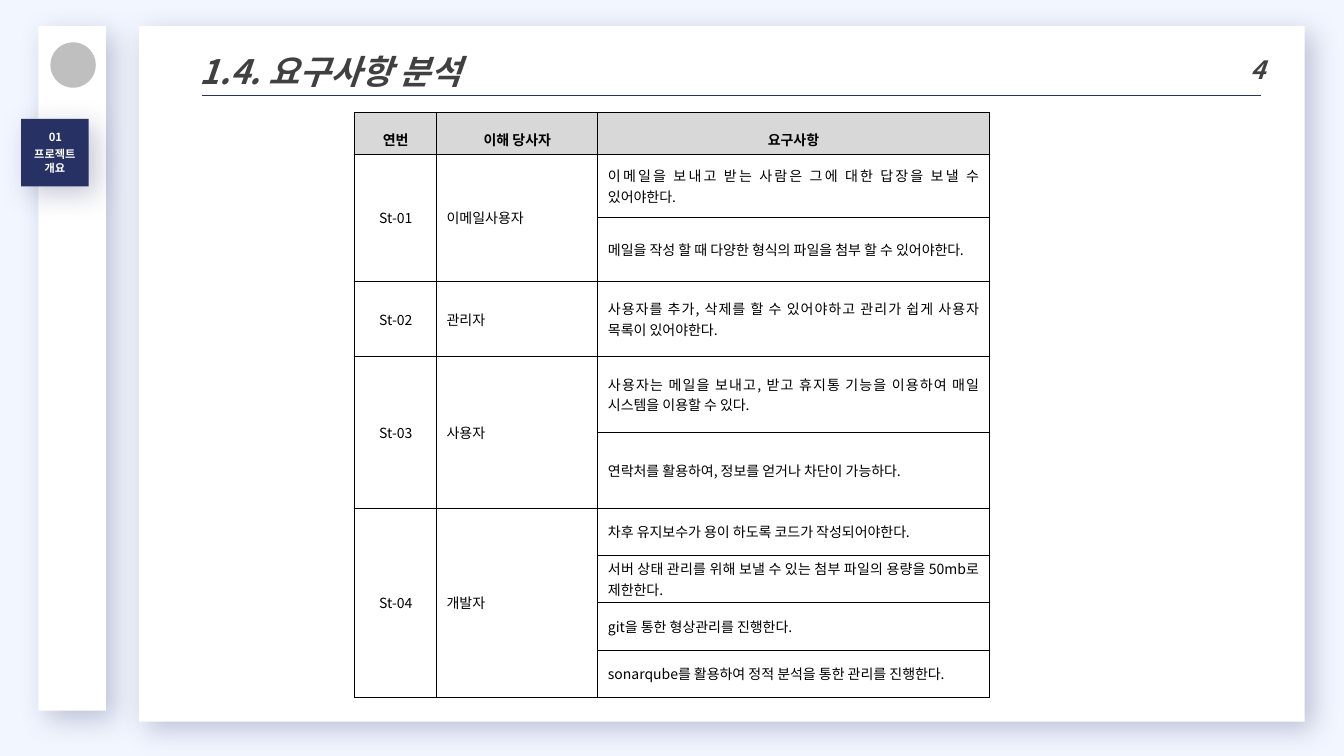
from dataclasses import dataclass

from lxml.etree import SubElement
from pptx import Presentation
from pptx.dml.color import RGBColor
from pptx.enum.shapes import MSO_CONNECTOR, MSO_SHAPE
from pptx.enum.text import MSO_ANCHOR, PP_ALIGN
from pptx.oxml import parse_xml
from pptx.oxml.ns import nsdecls, qn
from pptx.util import Inches, Pt


@dataclass(frozen=True)
class Theme:
    font: str = "Noto Sans CJK KR"
    back: str = "F2F6FF"
    navy: str = "273164"
    white: str = "FFFFFF"
    dark: str = "404040"
    black: str = "000000"
    gray: str = "BFBFBF"
    head: str = "D8D8D8"
    title: int = 24
    page: int = 18
    body: int = 10
    tag: int = 8


THEME = Theme()
HEADS = ["연번", "이해 당사자", "요구사항"]
# Each group: id, stakeholder, row height, requirements
GROUPS = [
    ("St-01", "이메일사용자", 0.63, [
        "이메일을 보내고 받는 사람은 그에 대한 답장을 보낼 수 있어야한다.",
        "메일을 작성 할 때 다양한 형식의 파일을 첨부 할 수 있어야한다."]),
    ("St-02", "관리자", 0.75, [
        "사용자를 추가, 삭제를 할 수 있어야하고 관리가 쉽게 사용자 목록이 있어야한다."]),
    ("St-03", "사용자", 0.75, [
        "사용자는 메일을 보내고, 받고 휴지통 기능을 이용하여 매일 시스템을 이용할 수 있다.",
        "연락처를 활용하여, 정보를 얻거나 차단이 가능하다."]),
    ("St-04", "개발자", 0.47, [
        "차후 유지보수가 용이 하도록 코드가 작성되어야한다.",
        "서버 상태 관리를 위해 보낼 수 있는 첨부 파일의 용량을 50mb로 제한한다.",
        "git을 통한 형상관리를 진행한다.",
        "sonarqube를 활용하여 정적 분석을 통한 관리를 진행한다."]),
]


def color(code):
    return RGBColor.from_string(code)


def write(frame, text, size, ink, bold=False, italic=False,
          align=PP_ALIGN.LEFT, space=None, indent=None):
    frame.word_wrap = True
    para = frame.paragraphs[0]
    para.alignment = align
    if space:
        para.line_spacing = space
    if indent:
        props = para._p.get_or_add_pPr()
        props.set("marL", str(Inches(indent)))
        props.set("indent", "0")
    run = para.add_run()
    run.text = text
    font = run.font
    font.size, font.bold, font.italic = Pt(size), bold, italic
    font.color.rgb = color(ink)
    font.name = THEME.font
    SubElement(font._element, qn("a:ea")).set("typeface", THEME.font)


def add_shade(shape):
    """Give the shape a soft navy shadow to the lower right."""
    shape._element.spPr.append(parse_xml(
        f'<a:effectLst {nsdecls("a")}><a:outerShdw blurRad="{Pt(20)}" '
        f'dist="{Pt(8)}" dir="2700000" algn="tl" rotWithShape="0">'
        f'<a:srgbClr val="{THEME.navy}"><a:alpha val="26000"/></a:srgbClr>'
        '</a:outerShdw></a:effectLst>'))


def add_block(slide, box, fill, kind=MSO_SHAPE.RECTANGLE, shade=True):
    shape = slide.shapes.add_shape(kind, *map(Inches, box))
    shape.fill.solid()
    shape.fill.fore_color.rgb = color(fill)
    shape.line.fill.background()
    if shade:
        add_shade(shape)
    else:
        shape.shadow.inherit = False
    return shape


def add_label(slide, box, text, size, ink, **form):
    label = slide.shapes.add_textbox(*map(Inches, box))
    write(label.text_frame, text, size, ink, **form)


def add_rule(slide, left, right, top):
    rule = slide.shapes.add_connector(
        MSO_CONNECTOR.STRAIGHT, Inches(left), Inches(top), Inches(right), Inches(top))
    rule.line.color.rgb = color(THEME.navy)
    rule.line.width = Pt(0.5)
    SubElement(rule._element.spPr, qn("a:effectLst"))


def add_edges(cell):
    props = cell._tc.get_or_add_tcPr()
    for place, side in enumerate("LRTB"):
        props.insert(place, parse_xml(
            f'<a:ln{side} {nsdecls("a")} w="{Pt(0.67)}"><a:solidFill>'
            f'<a:srgbClr val="{THEME.black}"/></a:solidFill></a:ln{side}>'))


def fill_cell(cell, text, align, head=False):
    cell.vertical_anchor = MSO_ANCHOR.BOTTOM if head else MSO_ANCHOR.MIDDLE
    cell.margin_top = cell.margin_bottom = Inches(0.05 if head else 0.02)
    write(cell.text_frame, text, THEME.body, THEME.black, bold=head, align=align)


def add_needs(slide):
    """Add the table of requirements, merging the cells of each group."""
    widths = [0.81, 1.6, 3.88]
    heights = [0.41] + [tall for _, _, tall, needs in GROUPS for _ in needs]
    table = slide.shapes.add_table(
        len(heights), len(widths), Inches(3.52), Inches(1.12),
        Inches(sum(widths)), Inches(sum(heights))).table
    table.first_row = table.horz_banding = False
    for col, width in zip(table.columns, widths):
        col.width = Inches(width)
    for row, height in zip(table.rows, heights):
        row.height = Inches(height)
    for cell in table.iter_cells():
        cell.fill.background()
        add_edges(cell)
    for col, text in enumerate(HEADS):
        cell = table.cell(0, col)
        cell.fill.solid()
        cell.fill.fore_color.rgb = color(THEME.head)
        fill_cell(cell, text, PP_ALIGN.CENTER, head=True)
    top = 1
    for code, who, _, needs in GROUPS:
        for col, text, align in ((0, code, PP_ALIGN.CENTER), (1, who, PP_ALIGN.LEFT)):
            cell = table.cell(top, col)
            if len(needs) > 1:
                cell.merge(table.cell(top + len(needs) - 1, col))
            fill_cell(cell, text, align)
        for row, need in enumerate(needs, top):
            fill_cell(table.cell(row, 2), need, PP_ALIGN.JUSTIFY)
        top += len(needs)


def add_title(slide):
    panel = add_block(slide, (1.38, 0.26, 11.56, 6.9), THEME.white)
    panel.text_frame.vertical_anchor = MSO_ANCHOR.TOP
    write(panel.text_frame, "1.4. 요구사항 분석", THEME.title, THEME.dark,
          bold=True, italic=True, space=1.5, indent=0.5)
    add_rule(slide, 2, 12.51, 0.95)


def add_side(slide):
    add_block(slide, (0.38, 0.26, 0.67, 6.79), THEME.white)
    tag = add_block(slide, (0.21, 1.18, 0.67, 0.67), THEME.navy).text_frame
    tag.vertical_anchor = MSO_ANCHOR.BOTTOM
    tag.margin_bottom = Inches(0.12)
    form = dict(size=THEME.tag, ink=THEME.white, bold=True, align=PP_ALIGN.CENTER)
    write(tag, "프로젝트개요", **form)
    add_label(slide, (0.35, 1.24, 0.4, 0.24), "01", **form)
    add_block(slide, (0.5, 0.42, 0.45, 0.45), THEME.gray, MSO_SHAPE.OVAL, shade=False)


def main():
    deck = Presentation()
    deck.slide_width, deck.slide_height = Inches(13.33), Inches(7.5)
    slide = deck.slides.add_slide(deck.slide_layouts[6])
    slide.background.fill.solid()
    slide.background.fill.fore_color.rgb = color(THEME.back)
    add_title(slide)
    add_side(slide)
    add_needs(slide)
    add_label(slide, (12.3, 0.49, 0.66, 0.4), "4", THEME.page, THEME.dark,
              bold=True, italic=True)
    deck.save("out.pptx")


if __name__ == "__main__":
    main()
